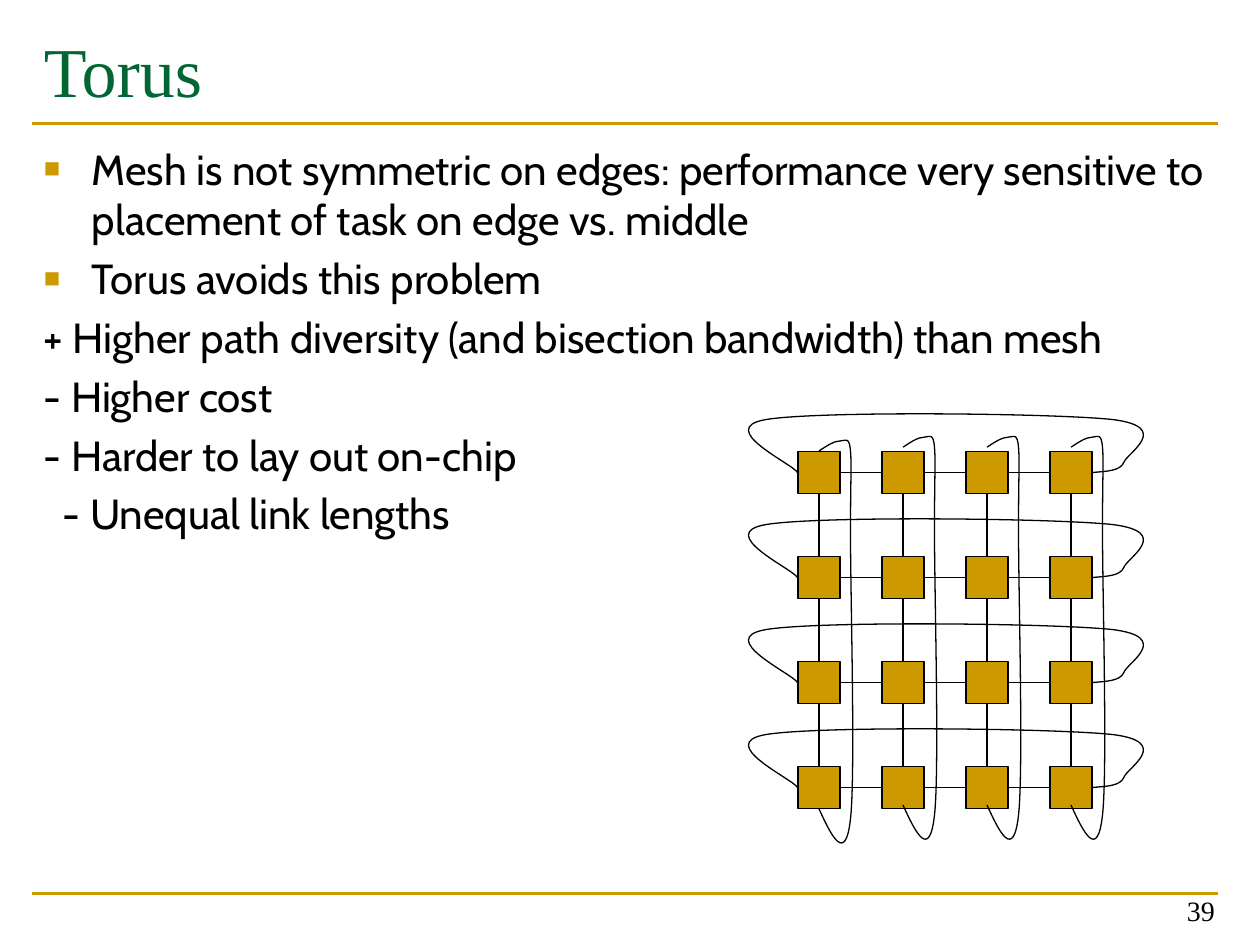
"""Build the slide on the torus network."""
from itertools import product
from lxml.etree import SubElement as Sub
from pptx import Presentation
from pptx.dml.color import RGBColor as Color
from pptx.enum.shapes import MSO_CONNECTOR as Link, MSO_SHAPE as Shape
from pptx.enum.text import MSO_ANCHOR as Anchor, PP_ALIGN as Align
from pptx.oxml.ns import qn
from pptx.util import Inches, Pt

GOLD, GREEN, BLACK = "CC9900", "006633", "000000"
SERIF, SANS = "Times New Roman", "Cabin"
TITLE, PAGE = "Torus", "39"
BODY = [
    ("Mesh is not symmetric on edges: performance very sensitive to "
     "placement of task on edge vs. middle", True, 0.38),
    ("Torus avoids this problem", True, 0.38),
    ("+ Higher path diversity (and bisection bandwidth) than mesh", False, 0.38),
    ("- Higher cost", False, 0.38),
    ("- Harder to lay out on-chip", False, 0.38),
    ("- Unequal link lengths", False, 0.53),
]
RULES = [7.09, 0.98]
COUNT, LEFT, TOP = 4, 6.5, 3.75
STEP_X, STEP_Y, HALF = 2 / 3, 5 / 6, 1 / 6
ROW_LOOP = [
    (2.17, 0), (2.28, -0.01), (2.39, -0.01), (2.42, -0.08),
    (2.44, -0.15), (2.81, -0.36), (2.33, -0.42),
    (1.86, -0.47), (0, -0.49), (-0.42, -0.42),
    (-0.83, -0.35), (-0.21, -0.07), (-0.17, 0),
]
COL_LOOP = [
    (0, -0.17), (0.06, -0.21), (0.12, -0.25), (0.17, -0.25),
    (0.21, -0.25), (0.24, -0.29), (0.25, -0.17),
    (0.26, -0.04), (0.25, 0.01), (0.25, 0.5),
    (0.25, 0.99), (0.29, 2.39), (0.25, 2.75),
    (0.21, 3.11), (0.1, 2.89), (0, 2.67),
]

deck = Presentation()
deck.slide_width, deck.slide_height = Inches(10), Inches(7.5)
slide = deck.slides.add_slide(deck.slide_layouts[6])
shapes = slide.shapes


def tint(code):
    return Color.from_string(code)


def write(text, box, size=24, font=SANS, color=BLACK, align=Align.LEFT,
          anchor=Anchor.TOP):
    frame = shapes.add_textbox(*map(Inches, box)).text_frame
    frame.word_wrap, frame.vertical_anchor = True, anchor
    lines = [(text, False, 0)] if isinstance(text, str) else text
    for i, (line, mark, inset) in enumerate(lines):
        para = frame.add_paragraph() if i else frame.paragraphs[0]
        para.text, para.alignment = line, align
        para.space_before = Pt(4.8 if i else 0)
        props = para._p.get_or_add_pPr()
        if inset:
            props.set("marL", str(Inches(inset)))
            props.set("indent", str(Inches(-0.38)))
        if mark:
            hue = Sub(props, qn("a:buClr"))
            Sub(hue, qn("a:srgbClr"), val=GOLD)
            Sub(props, qn("a:buSzPct"), val="65000")
            Sub(props, qn("a:buFont"), typeface=SERIF)
            Sub(props, qn("a:buChar"), char="■")
        else:
            Sub(props, qn("a:buNone"))
        para.font.size, para.font.name = Pt(size), font
        para.font.color.rgb = tint(color)


def stroke(item, color=BLACK, width=0.75):
    item.line.color.rgb, item.line.width = tint(color), Pt(width)


def join(x1, y1, x2, y2, **style):
    line = shapes.add_connector(Link.STRAIGHT, *map(Inches, (x1, y1, x2, y2)))
    Sub(line._element.spPr, qn("a:effectLst"))
    stroke(line, **style)


def node(x, y):
    box = shapes.add_shape(
        Shape.RECTANGLE, *map(Inches, (x - HALF, y - HALF, 2 * HALF, 2 * HALF)))
    box.shadow.inherit = False
    box.fill.solid()
    box.fill.fore_color.rgb = tint(GOLD)
    stroke(box)


def curve(knots, x, y):
    spots = [(Inches(x + a), Inches(y + b)) for a, b in knots]
    pen = shapes.build_freeform(*spots[0])
    pen.add_line_segments(spots[1:], close=False)
    loop = pen.convert_to_shape()
    legs = list(loop._element.iter(qn("a:lnTo")))
    for i in range(0, len(legs), 3):
        bend = Sub(legs[i].getparent(), qn("a:cubicBezTo"))
        for leg in legs[i:i + 3]:
            bend.append(leg[0])
            leg.getparent().remove(leg)
    loop.shadow.inherit = False
    loop.fill.background()
    stroke(loop)


for y in RULES:
    join(0.25, y, 9.67, y, color=GOLD, width=1.5)
write(TITLE, (0.25, 0.17, 9.42, 1.17), size=40, font=SERIF, color=GREEN)
write(BODY, (0.25, 1.09, 9.42, 5.68))
write(PAGE, (7.41, 6.91, 2.33, 0.5), size=16, font=SERIF,
      align=Align.RIGHT, anchor=Anchor.BOTTOM)

cols = [LEFT + i * STEP_X for i in range(COUNT)]
rows = [TOP + i * STEP_Y for i in range(COUNT)]
for y in rows:
    for x in cols:
        node(x, y)
    for x in cols[:-1]:
        join(x + HALF, y, x + STEP_X - HALF, y)
    curve(ROW_LOOP, LEFT, y)
for y, x in product(rows[:-1], cols):
    join(x, y + HALF, x, y + STEP_Y - HALF)
for i, x in enumerate(cols):
    curve(COL_LOOP, x, TOP - (0.03 if i else 0))

deck.save("out.pptx")
